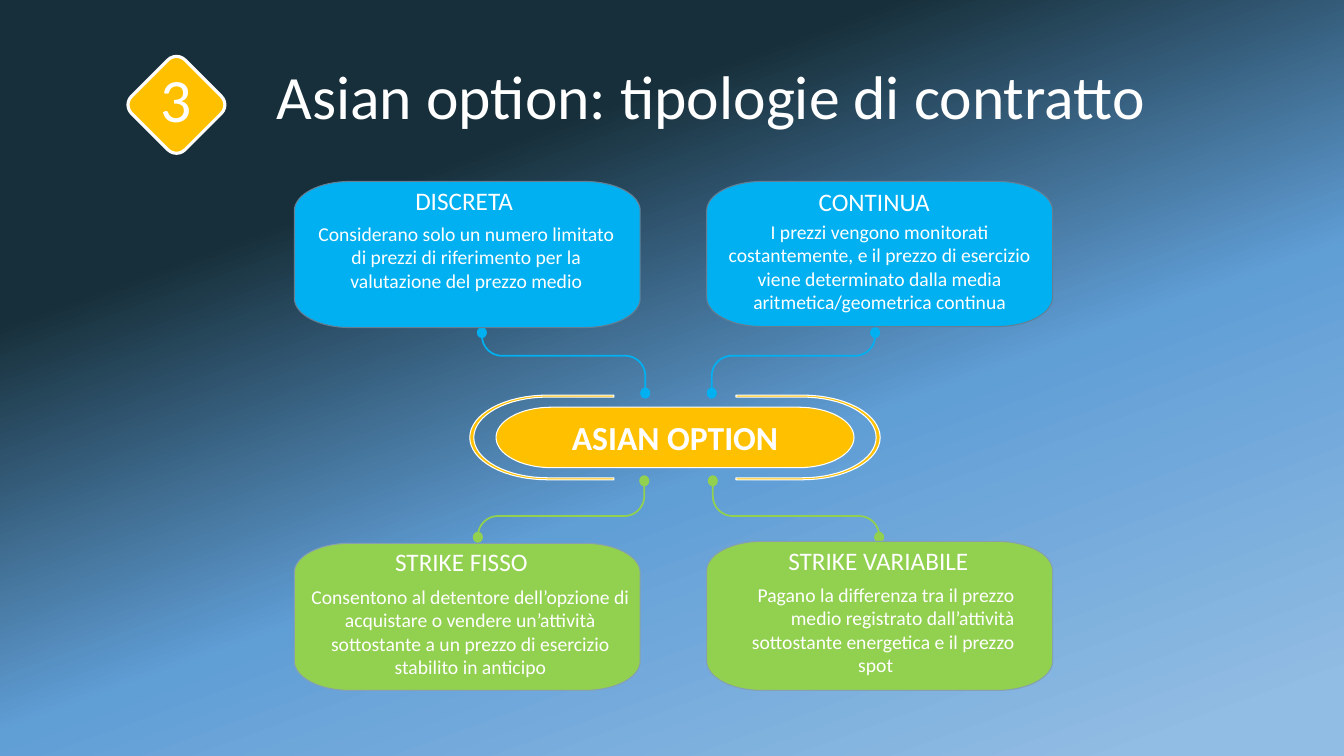
from dataclasses import dataclass
from math import cos, radians, sin

from lxml import etree
from pptx import Presentation, util as u
from pptx.dml.color import RGBColor
from pptx.enum import shapes, text
from pptx.oxml import ns

LEFT, CENTER, RIGHT = text.PP_ALIGN.LEFT, text.PP_ALIGN.CENTER, text.PP_ALIGN.RIGHT


@dataclass(frozen=True)
class Theme:
    """Colours and type sizes of the slide."""
    font: str = "Calibri"
    white: str = "FFFFFF"
    amber: str = "FFC000"
    blue: str = "00B0F0"
    green: str = "92D050"
    blue_edge: str = "657E93"
    green_edge: str = "869FB2"
    backdrop: tuple = ((6, "91BCE3", 75), (41, "609ED6", 100), (74, "172F3A", 100))
    title: int = 44
    hub: int = 24
    heading: int = 18
    body: int = 14


def arc(cx, cy, rx, ry, start, end, steps=16):
    """Return points along an elliptical arc, angles in degrees."""
    angles = [radians(start + (end - start) * i / steps) for i in range(steps + 1)]
    return [(cx + rx * cos(a), cy + ry * sin(a)) for a in angles]


class Board:
    """Draws styled elements on one slide."""

    def __init__(self, slide, theme):
        self.slide, self.theme = slide, theme

    def backdrop(self, angle):
        fill = self.slide.background.fill
        fill.gradient()
        fill.gradient_angle = 360 - angle
        stops = self.slide.element.xpath(".//a:gsLst")[0]
        for stop in list(stops):
            stops.remove(stop)
        for position, colour, alpha in self.theme.backdrop:
            stop = etree.SubElement(stops, ns.qn("a:gs"), pos=str(position * 1000))
            rgb = etree.SubElement(stop, ns.qn("a:srgbClr"), val=colour)
            if alpha < 100:
                etree.SubElement(rgb, ns.qn("a:alpha"), val=str(alpha * 1000))

    def paint(self, shape, fill=None, line=None, width=0.75):
        shape.shadow.inherit = False
        for part, colour in ((shape.fill, fill), (shape.line.fill, line)):
            if colour:
                part.solid()
                part.fore_color.rgb = RGBColor.from_string(colour)
            else:
                part.background()
        if line:
            shape.line.width = u.Pt(width)
        return shape

    def outline(self, points, closed=True, **style):
        (x, y), *rest = [(u.Inches(px), u.Inches(py)) for px, py in points]
        builder = self.slide.shapes.build_freeform(x, y)
        builder.add_line_segments(rest, close=closed)
        return self.paint(builder.convert_to_shape(), **style)

    def pill(self, left, top, width, height, ry, **style):
        rx = 0.55
        west, east = left + rx, left + width - rx
        north, south = top + ry, top + height - ry
        corners = ((west, north, 180), (east, north, 270), (east, south, 0), (west, south, 90))
        points = [p for cx, cy, a in corners for p in arc(cx, cy, rx, ry, a, a + 90)]
        return self.outline(points, **style)

    def bracket(self, cx, side):
        cy, tip = 4.34, cx + side * 0.66
        outer = arc(cx, cy, -side * 0.77, 0.42, -90, 90, 32)
        inner = arc(cx, cy, -side * 0.73, 0.40, 90, -90, 32)
        points = [(tip, cy - 0.42), *outer, (tip, cy + 0.42), (tip, cy + 0.40), *inner, (tip, cy - 0.40)]
        self.outline(points, fill=self.theme.amber, line=self.theme.white)

    def dot(self, x, y, colour):
        w, h = 0.1, 0.11
        place = [u.Inches(v) for v in (x - w / 2, y - h / 2, w, h)]
        self.paint(self.slide.shapes.add_shape(shapes.MSO_SHAPE.OVAL, *place), fill=colour)

    def link(self, outer, bend, inner, colour):
        (ox, oy), (ix, iy), r = outer, inner, 0.2
        h, v = (r if ix > ox else -r), (r if bend > oy else -r)
        points = [outer, *arc(ox + h, bend - v, -h, v, 0, 90),
                  *arc(ix - h, bend + v, h, -v, 90, 0), inner]
        self.outline(points, closed=False, line=colour, width=1.25)
        self.dot(*outer, colour)
        self.dot(*inner, colour)

    def badge(self, cx, cy, side):
        place = [u.Inches(v) for v in (cx - side / 2, cy - side / 2, side, side)]
        diamond = self.slide.shapes.add_shape(shapes.MSO_SHAPE.ROUNDED_RECTANGLE, *place)
        diamond.adjustments[0] = 0.16
        diamond.rotation = 45
        self.paint(diamond, fill=self.theme.amber, line=self.theme.white, width=2.25)

    def caption(self, shape, lines, size, bold=False, middle=False, spacing=None):
        frame = shape.text_frame
        inset = u.Inches(0.1 if middle else 0.05)
        anchor = text.MSO_ANCHOR.MIDDLE if middle else text.MSO_ANCHOR.TOP
        layout = {"word_wrap": True, "vertical_anchor": anchor, "margin_top": inset,
                  "margin_bottom": inset, "margin_left": u.Inches(0.1), "margin_right": u.Inches(0.1)}
        for name, value in layout.items():
            setattr(frame, name, value)
        for i, (words, align) in enumerate(lines):
            paragraph = frame.add_paragraph() if i else frame.paragraphs[0]
            paragraph.alignment, paragraph.line_spacing = align, spacing
            run = paragraph.add_run()
            run.text = words
            for name, value in {"name": self.theme.font, "size": u.Pt(size), "bold": bold}.items():
                setattr(run.font, name, value)
            run.font.color.rgb = RGBColor.from_string(self.theme.white)

    def label(self, box, lines, size, **style):
        self.caption(self.slide.shapes.add_textbox(*map(u.Inches, box)), lines, size, **style)


def main():
    """Build the slide on Asian option contracts."""
    deck = Presentation()
    deck.slide_width, deck.slide_height = u.Inches(13.33), u.Inches(7.5)
    theme = Theme()
    board = Board(deck.slides.add_slide(deck.slide_layouts[6]), theme)
    board.backdrop(250)
    board.label((1.43, 0.57, 11.25, 0.84), [("Asian option: tipologie di contratto", CENTER)],
                theme.title, middle=True, spacing=0.9)

    hub = board.pill(4.92, 4.04, 3.55, 0.6, 0.3, fill=theme.amber, line=theme.white)
    board.caption(hub, [("ASIAN OPTION", CENTER)], theme.hub, bold=True, middle=True)
    for centre, side in ((5.43, 1), (7.96, -1)):
        board.bracket(centre, side)

    axis = 6.73
    links = (((1.95, 3.3), 3.53, (0.33, 3.9), theme.blue),
             ((1.99, 5.33), 5.12, (0.34, 4.77), theme.green))
    for (far, far_y), bend, (near, near_y), colour in links:
        for side in (-1, 1):
            board.link((axis + side * far, far_y), bend, (axis + side * near, near_y), colour)

    blue, green = (theme.blue, theme.blue_edge), (theme.green, theme.green_edge)
    contracts = (
        (2.92, 1.8, 1.45, blue, "DISCRETA", (4.02, 1.79, 1.62, 0.4), (3.05, 2.15, 3.15, 1.11),
         [("Considerano solo un numero limitato di prezzi di riferimento per la "
           "valutazione del prezzo medio", CENTER)]),
        (7.01, 1.8, 1.44, blue, "CONTINUA", (8.02, 1.8, 1.62, 0.4), (7.01, 2.13, 3.43, 1.28),
         [("I prezzi vengono monitorati costantemente, e il prezzo di esercizio viene "
           "determinato dalla media aritmetica/geometrica continua", CENTER)]),
        (2.92, 5.39, 1.46, green, "STRIKE FISSO", (3.82, 5.37, 1.62, 0.4), (2.89, 5.75, 3.55, 1.04),
         [("Consentono al detentore dell’opzione di acquistare o vendere un’attività "
           "sottostante a un prezzo di esercizio stabilito in anticipo", CENTER)]),
        (7.01, 5.37, 1.48, green, "STRIKE VARIABILE", (7.72, 5.36, 2.39, 0.4), (7.21, 5.73, 2.95, 1.04),
         [("Pagano la differenza tra il prezzo medio registrato dall’attività "
           "sottostante energetica e il prezzo", RIGHT), ("spot", CENTER)]),
    )
    for left, top, height, (fill, edge), heading, heading_box, body_box, body in contracts:
        board.pill(left, top, 3.43, height, 0.29, fill=fill, line=edge)
        board.label(heading_box, [(heading, LEFT)], theme.heading)
        board.label(body_box, body, theme.body)

    board.badge(1.75, 1.04, 0.75)
    board.label((1.26, 0.59, 0.98, 0.86), [("3", CENTER)], theme.title, middle=True, spacing=0.9)
    deck.save("out.pptx")


if __name__ == "__main__":
    main()
